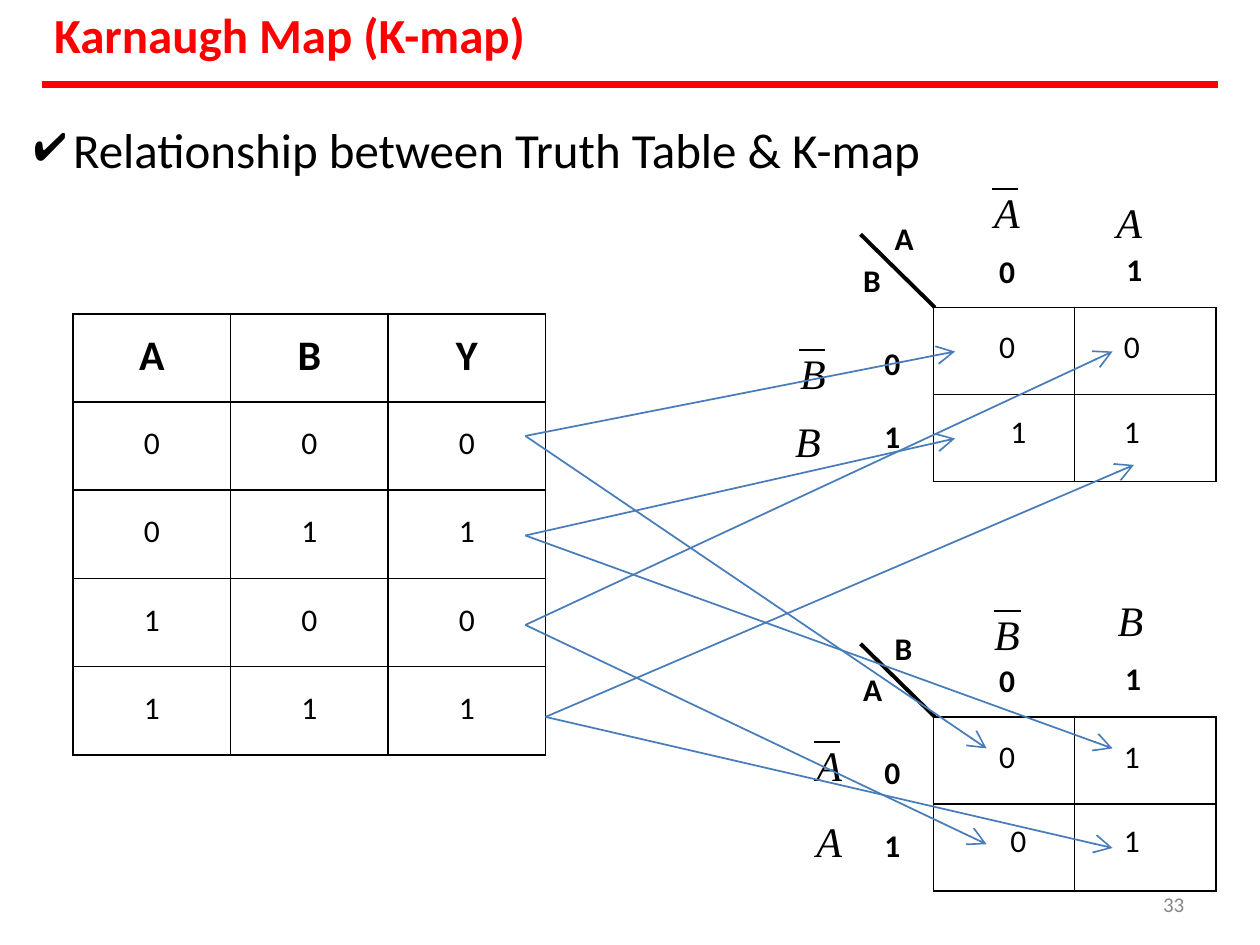
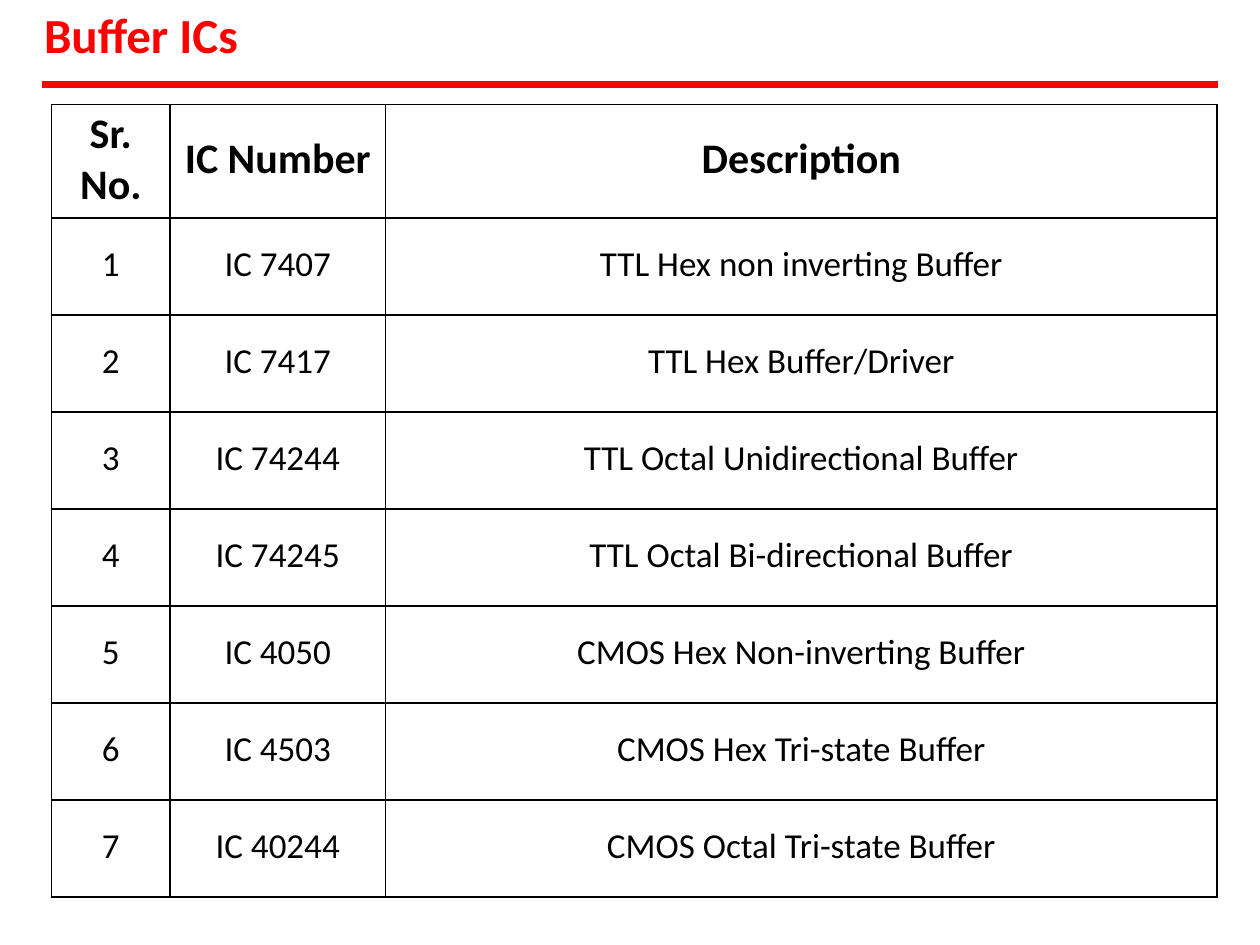
from dataclasses import dataclass, replace

from pptx import Presentation
from pptx.dml.color import RGBColor
from pptx.enum import shapes, text
from pptx.oxml.ns import qn
from pptx.util import Inches, Pt
from lxml import etree

BLACK = RGBColor(0, 0, 0)
RED = RGBColor(0xFF, 0, 0)
BLUE = RGBColor(0x49, 0x7D, 0xBA)
GRAY = RGBColor(0x88, 0x88, 0x88)


@dataclass(frozen=True)
class Style:
    size: int
    bold: bool = False
    italic: bool = False
    color: RGBColor = BLACK
    font: str = "Calibri"


TITLE = Style(28, bold=True, color=RED)
BODY = Style(28)
HEAD = Style(24, bold=True)
CELL = Style(18)
LABEL = Style(18, bold=True)
MATH = Style(24, italic=True, font="Times New Roman")
NUMBER = Style(12, color=GRAY)


def child(parent, tag, **attrs):
    return etree.SubElement(parent, qn(tag), attrs)


def set_indent(p, left, first=0):
    pPr = p._p.get_or_add_pPr()
    pPr.set("marL", str(Inches(left)))
    pPr.set("indent", str(Inches(first)))
    return pPr


class Deck:
    def __init__(self):
        self.prs = Presentation()
        self.prs.slide_width, self.prs.slide_height = Inches(10), Inches(7.5)
        self.s = None

    def slide(self, title, left, width):
        self.s = self.prs.slides.add_slide(self.prs.slide_layouts[6])
        self.text((left, 0.03, width, 0.5), [(title, 0.01, 0)], TITLE)
        self.line((0.33, 0.67), (9.67, 0.67), RED, 4)

    def run(self, p, content, style):
        r = p.add_run()
        r.text = content
        f = r.font
        f.name, f.size, f.color.rgb = style.font, Pt(style.size), style.color
        f.bold, f.italic = style.bold, style.italic

    def text(self, at, paragraphs, *styles, top=0.01):
        sp = self.s.shapes.add_textbox(*map(Inches, at))
        tf = sp.text_frame
        tf.word_wrap = True
        tf.margin_left = tf.margin_right = tf.margin_bottom = 0
        tf.margin_top = Inches(top)
        for i, (content, indent, before) in enumerate(paragraphs):
            p = tf.add_paragraph() if i else tf.paragraphs[0]
            p.space_before = Pt(before)
            set_indent(p, indent)
            self.run(p, content, styles[min(i, len(styles) - 1)])
        return sp

    def bullet(self, at, content):
        sp = self.text(at, [(content, 0.33, 0)], BODY, top=0.02)
        pPr = set_indent(sp.text_frame.paragraphs[0], 0.33, -0.31)
        child(child(pPr, "a:buClr"), "a:srgbClr", val=str(BLACK))
        child(pPr, "a:buChar", char="✔")

    def line(self, start, end, color=BLACK, width=1.2, arrow=False):
        sp = self.s.shapes.add_connector(
            shapes.MSO_CONNECTOR.STRAIGHT, *map(Inches, (*start, *end)))
        sp.line.color.rgb, sp.line.width = color, Pt(width)
        spPr = sp._element.spPr
        if arrow:
            child(spPr.find(qn("a:ln")), "a:tailEnd", type="arrow", w="lg", len="lg")
        child(spPr, "a:effectLst")

    def overbar(self, x, y):
        self.line((x, y), (x + 0.21, y))

    def table(self, left, top, cols, heights, rows, fmt):
        tb = self.s.shapes.add_table(
            len(rows), len(cols), Inches(left), Inches(top),
            Inches(sum(cols)), Inches(sum(heights))).table
        tb.first_row = tb.horz_banding = False
        for c, w in zip(tb.columns, cols):
            c.width = Inches(w)
        for i, (row, h) in enumerate(zip(rows, heights)):
            tb.rows[i].height = Inches(h)
            for j, content in enumerate(row):
                self.cell(tb.cell(i, j), content, *fmt(i, j))

    def cell(self, c, content, style, top, indent=None):
        c.margin_left = c.margin_right = c.margin_bottom = 0
        c.margin_top = Inches(top)
        for i, part in enumerate(content.split("\n")):
            p = c.text_frame.add_paragraph() if i else c.text_frame.paragraphs[0]
            if indent is None:
                p.alignment = text.PP_ALIGN.CENTER
            else:
                set_indent(p, indent)
            self.run(p, part, style)
        tcPr = c._tc.get_or_add_tcPr()
        for side in "LRTB":
            ln = child(tcPr, f"a:ln{side}", w=str(Pt(1)))
            child(child(ln, "a:solidFill"), "a:srgbClr", val=str(BLACK))
        c.fill.background()

    def kmap(self, top, across, down, values):
        self.line((7.42, top), (6.83, top - 0.58), width=2.25)
        for x, dy, label in ((7.09, -0.71, across), (6.84, -0.38, down),
                             (7.01, 0.28, "0"), (7.01, 0.86, "1")):
            self.text((x, top + dy, 0.18, 0.33), [(label, 0.01, 0)], LABEL)
        tops, indents = (0.17, 0.15), ((0.52, 0.39), (0.61, 0.39))
        self.table(7.41, top, [1.12] * 2, [0.69] * 2, values,
                   lambda i, j: (CELL, tops[i], indents[i][j]))

    def variable(self, at, top, letter, below, indent, gap, style, first=0.01):
        self.text(at, [(letter, first, 0), (below, indent, gap)], MATH, style, top=top)


def kmap_slide(d):
    d.slide("Karnaugh Map (K-map)", 0.42, 3.78)
    d.bullet((0.25, 0.93, 7.09, 0.5), "Relationship between Truth Table & K-map")
    d.table(0.58, 2.49, [1.25] * 3, [0.7] * 5, ["ABY", "000", "011", "100", "111"],
            lambda i, j: (CELL, 0.18) if i else (HEAD, 0.13))

    d.kmap(2.44, "A", "B", ["00", "11"])
    d.variable((7.88, 1.3, 0.24, 1.01), 0.18, "A", "0", 0.05, 8.6, LABEL)
    d.variable((8.85, 1.51, 0.24, 0.79), 0.05, "A", "1", 0.09, 1.7, LABEL)
    d.variable((6.3, 2.61, 0.28, 1.11), 0.15, "B", "B", 0.01, 10.1, MATH, first=0.05)

    d.kmap(5.69, "B", "A", ["01", "01"])
    d.variable((7.88, 4.79, 0.24, 0.77), 0.04, "B", "0", 0.05, 1.2, LABEL)
    d.variable((8.86, 4.56, 0.24, 0.98), 0.16, "B", "1", 0.07, 7.8, LABEL)
    d.variable((6.47, 5.65, 0.24, 1.23), 0.22, "A", "A", 0.01, 14.6, MATH)

    for x, y in ((7.87, 1.5), (6.34, 2.78), (7.89, 4.85), (6.46, 5.89)):
        d.overbar(x, y)

    targets = {
        (4.17, 3.46): ((7.58, 2.79), (7.83, 5.94)),
        (4.17, 4.25): ((7.58, 3.48), (8.83, 5.94)),
        (4.17, 4.96): ((8.83, 2.79), (7.83, 6.7)),
        (4.33, 5.69): ((9, 3.69), (8.83, 6.73)),
    }
    for output, cells in targets.items():
        for target in cells:
            d.line(output, target, BLUE, 1, arrow=True)

    number = d.text((9.19, 7.07, 0.25, 0.19), [("33", 0.04, 0)], NUMBER, top=0)
    number.text_frame.paragraphs[0].line_spacing = 1.03


def buffer_slide(d):
    d.slide("Buffer ICs", 0.34, 1.59)
    buffers = [
        ("IC 7407", "TTL Hex non inverting Buffer"),
        ("IC 7417", "TTL Hex Buffer/Driver"),
        ("IC 74244", "TTL Octal Unidirectional Buffer"),
        ("IC 74245", "TTL Octal Bi-directional Buffer"),
        ("IC 4050", "CMOS Hex Non-inverting Buffer"),
        ("IC 4503", "CMOS Hex Tri-state Buffer"),
        ("IC 40244", "CMOS Octal Tri-state Buffer"),
    ]
    rows = [("Sr.\nNo.", "IC Number", "Description")]
    rows += [(str(n), *buffer) for n, buffer in enumerate(buffers, 1)]
    body = replace(CELL, size=20)
    d.table(0.41, 0.83, [0.94, 1.71, 6.6], [0.9] + [0.77] * len(buffers), rows,
            lambda i, j: (body, 0.2) if i else (HEAD, 0.23 if j else 0.03))


def main():
    d = Deck()
    kmap_slide(d)
    buffer_slide(d)
    d.prs.save("out.pptx")


if __name__ == "__main__":
    main()
